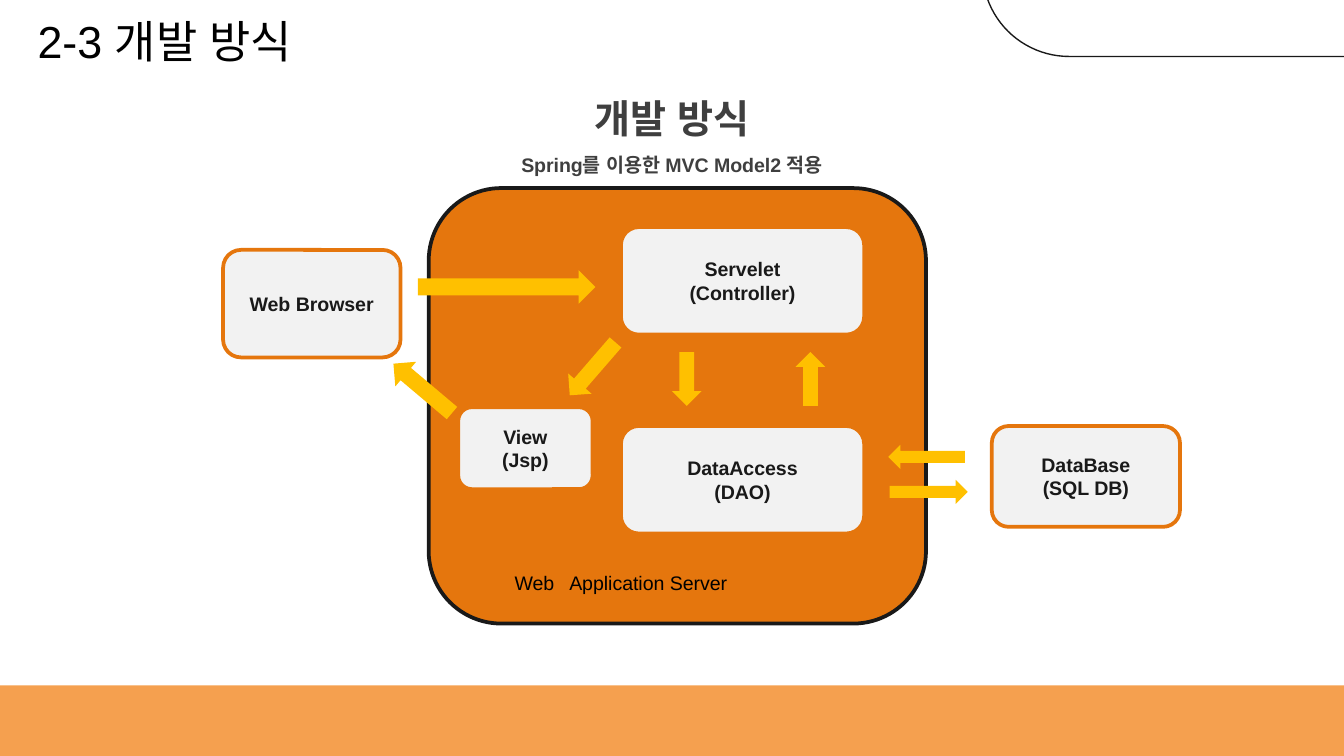
from dataclasses import dataclass

from lxml import etree
from pptx import Presentation
from pptx.dml.color import RGBColor
from pptx.enum.shapes import MSO_SHAPE
from pptx.enum.text import MSO_ANCHOR, MSO_AUTO_SIZE, PP_ALIGN
from pptx.oxml.ns import qn
from pptx.util import Inches, Pt

RECT, ROUNDED = MSO_SHAPE.RECTANGLE, MSO_SHAPE.ROUNDED_RECTANGLE
LEFT_ARROW, RIGHT_ARROW = MSO_SHAPE.LEFT_ARROW, MSO_SHAPE.RIGHT_ARROW
UP_ARROW, DOWN_ARROW = MSO_SHAPE.UP_ARROW, MSO_SHAPE.DOWN_ARROW
TOP, MIDDLE = MSO_ANCHOR.TOP, MSO_ANCHOR.MIDDLE
ALIGN_LEFT, CENTER = PP_ALIGN.LEFT, PP_ALIGN.CENTER
GROW = MSO_AUTO_SIZE.SHAPE_TO_FIT_TEXT

FONT = "Arial"
BODY_SIZE = 10.5
COLORS = {
    "white": "FFFFFF", "black": "000000", "ink": "191919", "heading": "3F3F3F",
    "panel": "F2F2F2", "orange": "E5760D", "footer": "F5A04F", "arrow": "FFC000",
}

# Grid: 100 columns by 56.25 rows of square cells (16:9)
COLUMNS, ROWS = 100, 56.25
CELL = Inches(10) / COLUMNS


@dataclass(frozen=True)
class Area:
    col: float
    row: float
    cols: float
    rows: float

    def emu(self) -> tuple:
        return tuple(round(n * CELL) for n in (self.col, self.row, self.cols, self.rows))


@dataclass(frozen=True)
class Component:
    lines: tuple
    area: Area


@dataclass(frozen=True)
class Flow:
    kind: int
    area: Area
    rotation: float = 0


COMPONENTS = (
    Component(("Web Browser",), Area(16.6, 18.6, 13.2, 8)),
    Component(("DataAccess", "(DAO)"), Area(46.2, 31.7, 18.1, 8)),
    Component(("Servelet", "(Controller)"), Area(46.2, 16.9, 18.1, 8)),
    Component(("View", "(Jsp)"), Area(34.1, 30.3, 10, 6.1)),
    Component(("DataBase", "(SQL DB)"), Area(73.8, 31.7, 14, 7.5)),
)
FLOWS = (
    Flow(RIGHT_ARROW, Area(31.1, 20.1, 13.2, 2.5)),        # browser to controller
    Flow(UP_ARROW, Area(59.2, 26.2, 2.2, 4)),              # DAO to controller
    Flow(RIGHT_ARROW, Area(66.2, 35.7, 5.8, 1.8)),         # DAO to database
    Flow(LEFT_ARROW, Area(66.1, 33.1, 5.7, 1.8)),          # database to DAO
    Flow(LEFT_ARROW, Area(41.5, 26.3, 5.2, 2.3), 310.9),   # controller to view
    Flow(LEFT_ARROW, Area(28.6, 27.7, 5.7, 2.4), 40.2),    # view to browser
    Flow(DOWN_ARROW, Area(50, 26.2, 2.2, 4)),              # controller to DAO
)


def rgb(name: str) -> RGBColor:
    return RGBColor.from_string(COLORS[name])


def add_block(slide, kind: int, area: Area, fill: str = "", line: str = "",
              width: float = 2, rotation: float = 0):
    block = slide.shapes.add_shape(kind, *area.emu())
    block.shadow.inherit = False
    block.rotation = rotation
    if fill:
        block.fill.solid()
        block.fill.fore_color.rgb = rgb(fill)
    else:
        block.fill.background()
    if line:
        block.line.color.rgb = rgb(line)
        block.line.width = Pt(width)
    else:
        block.line.fill.background()
    return block


def write(frame, lines: tuple, color: str, sizes: tuple = (BODY_SIZE,), bold: bool = False,
          align: int = CENTER, anchor: int = MIDDLE, spacing: float = 1.0) -> None:
    """Write one paragraph per line; the last size serves all further lines."""
    frame.word_wrap = True
    frame.vertical_anchor = anchor
    for i, text in enumerate(lines):
        paragraph = frame.paragraphs[0] if i == 0 else frame.add_paragraph()
        paragraph.alignment = align
        paragraph.line_spacing = spacing
        paragraph.space_before = Pt(0)
        run = paragraph.add_run()
        run.text = text
        run.font.name = FONT
        run.font.size = Pt(sizes[min(i, len(sizes) - 1)])
        run.font.bold = bold
        run.font.color.rgb = rgb(color)
        # Korean text takes the East Asian font
        etree.SubElement(run._r.get_or_add_rPr(), qn("a:ea"), typeface=FONT)


def add_component(slide, component: Component) -> None:
    box = add_block(slide, ROUNDED, component.area, "panel", "orange")
    write(box.text_frame, component.lines, "ink", bold=True)


def main() -> None:
    prs = Presentation()
    prs.slide_width, prs.slide_height = round(COLUMNS * CELL), round(ROWS * CELL)
    slide = prs.slides.add_slide(prs.slide_layouts[5])

    # Footer band and corner tab
    add_block(slide, RECT, Area(0, 51, COLUMNS, ROWS - 51), "footer")
    tab = add_block(slide, ROUNDED, Area(73.1, -8.7, 45.2, 12.9), line="ink", width=0.75)
    tab.adjustments[0] = 0.5

    # Slide title
    title = slide.shapes.title
    title.left, title.top, title.width, title.height = Area(1.8, 0.5, 22.2, 5).emu()
    write(title.text_frame, ("2-3 개발 방식",), "black", (24,), align=ALIGN_LEFT, anchor=TOP)
    title.text_frame.auto_size = GROW

    # Diagram heading
    heading = add_block(slide, RECT, Area(0, 4.8, COLUMNS, 17.2), "white")
    write(heading.text_frame, ("개발 방식", "Spring를 이용한 MVC Model2 적용"), "heading",
          (21, BODY_SIZE), bold=True, anchor=TOP, spacing=1.5)

    # Application server and its caption
    add_block(slide, ROUNDED, Area(31.9, 14, 37, 32.4), "orange", "ink")
    caption = slide.shapes.add_textbox(*Area(37.3, 42, 30.2, 2.8).emu())
    write(caption.text_frame, ("Web   Application Server",), "black",
          align=ALIGN_LEFT, anchor=TOP)
    caption.text_frame.auto_size = GROW

    # Components and the flows between them
    for component in COMPONENTS:
        add_component(slide, component)
    for flow in FLOWS:
        add_block(slide, flow.kind, flow.area, "arrow", rotation=flow.rotation)

    prs.save("out.pptx")


if __name__ == "__main__":
    main()
